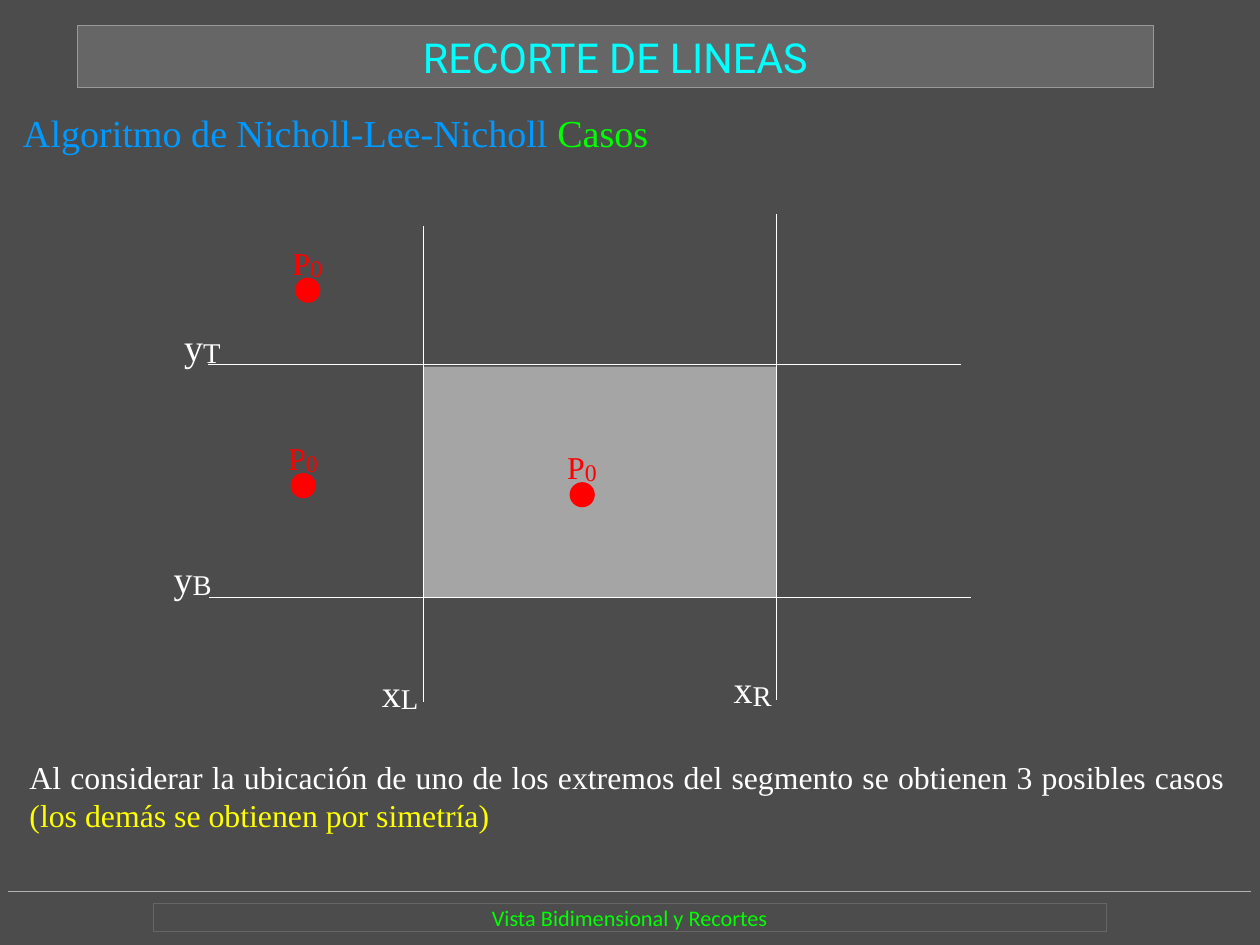
from dataclasses import dataclass

from lxml import etree
from pptx import Presentation
from pptx import util as u
from pptx.dml import color
from pptx.enum import shapes, text
from pptx.oxml import ns


@dataclass(frozen=True)
class Theme:
    background: str = "4C4C4C"
    panel: str = "666666"
    panel_edge: str = "999999"
    rule: str = "B3B3B3"
    white: str = "FFFFFF"
    red: str = "FF0000"
    green: str = "00FF00"
    blue: str = "0099FF"
    cyan: str = "00FFFF"
    yellow: str = "FFFF00"
    serif: str = "Times New Roman"
    title_font: str = "Roboto"
    footer_font: str = "Calibri"
    title_size: float = 26
    heading_size: float = 24
    heading_subscript: float = 31
    body_size: float = 20
    body_subscript: float = 25.9
    footer_size: float = 14


@dataclass(frozen=True)
class Box:
    left: float
    top: float
    width: float
    height: float


@dataclass(frozen=True)
class Line:
    x1: float
    y1: float
    x2: float
    y2: float
    tint: str


@dataclass(frozen=True)
class Words:
    content: str
    size: float
    tint: str
    font: str
    baseline: int = 0


@dataclass(frozen=True)
class Label:
    left: float
    top: float
    axis: str
    side: str


@dataclass(frozen=True)
class Point:
    left: float
    top: float


THEME = Theme()
HAIRLINE = u.Emu(1)
SUBSCRIPT = -5000
LEFT_EDGE, RIGHT_EDGE = 33.64, 61.61
TOP_EDGE, BOTTOM_EDGE = 38.57, 63.2

WINDOW = Box(LEFT_EDGE, 38.81, RIGHT_EDGE - LEFT_EDGE, 24.43)
LINES = [
    Line(0.7, 94.32, 99.27, 94.32, THEME.rule),
    Line(LEFT_EDGE, 24.0, LEFT_EDGE, 74.2, THEME.white),
    Line(RIGHT_EDGE, 22.7, RIGHT_EDGE, 74, THEME.white),
    Line(16.57, TOP_EDGE, 76.2, TOP_EDGE, THEME.white),
    Line(16.6, BOTTOM_EDGE, 77.04, BOTTOM_EDGE, THEME.white),
]
POINTS = [Point(22.87, 45.47), Point(45.01, 46.43), Point(23.23, 24.79)]
LABELS = [
    Label(30.31, 69.65, "x", "L"),
    Label(58.22, 69.29, "x", "R"),
    Label(14.61, 33.01, "y", "T"),
    Label(13.79, 57.56, "y", "B"),
]

presentation = Presentation()
presentation.slide_width = u.Cm(28)
presentation.slide_height = u.Cm(21)
slide = presentation.slides.add_slide(presentation.slide_layouts[5])


def across(percent: float) -> int:
    return round(presentation.slide_width * percent / 100)


def down(percent: float) -> int:
    return round(presentation.slide_height * percent / 100)


def bounds(box: Box) -> tuple[int, int, int, int]:
    return across(box.left), down(box.top), across(box.width), down(box.height)


def rgb(tint: str) -> color.RGBColor:
    return color.RGBColor.from_string(tint)


def write(shape, words: list[Words], align=text.PP_ALIGN.LEFT,
          anchor=text.MSO_ANCHOR.TOP) -> None:
    frame = shape.text_frame
    frame.margin_left = frame.margin_right = frame.margin_top = frame.margin_bottom = 0
    frame.word_wrap = True
    frame.auto_size = text.MSO_AUTO_SIZE.NONE
    frame.vertical_anchor = anchor
    paragraph = frame.paragraphs[0]
    paragraph.alignment = align
    for piece in words:
        run = paragraph.add_run()
        run.text = piece.content
        run.font.size = u.Pt(piece.size)
        run.font.name = piece.font
        run.font.color.rgb = rgb(piece.tint)
        if piece.baseline:
            run._r.get_or_add_rPr().set("baseline", str(piece.baseline))


def outline(shape, tint: str) -> None:
    shape.line.color.rgb = rgb(tint)
    shape.line.width = HAIRLINE


def add_text(box: Box, words: list[Words], align=text.PP_ALIGN.LEFT) -> None:
    write(slide.shapes.add_textbox(*bounds(box)), words, align)


def add_line(line: Line) -> None:
    connector = slide.shapes.add_connector(
        shapes.MSO_CONNECTOR.STRAIGHT,
        across(line.x1), down(line.y1), across(line.x2), down(line.y2))
    outline(connector, line.tint)
    etree.SubElement(connector._element.spPr, ns.qn("a:effectLst"))


def add_solid(kind: shapes.MSO_SHAPE, box: Box, tint: str):
    shape = slide.shapes.add_shape(kind, *bounds(box))
    shape.shadow.inherit = False
    shape.fill.solid()
    shape.fill.fore_color.rgb = rgb(tint)
    shape.line.fill.background()
    return shape


def add_point(point: Point) -> None:
    add_text(Box(point.left, point.top, 2.63, 4.59), [
        Words("P", THEME.body_size, THEME.red, THEME.serif),
        Words("0", THEME.body_subscript, THEME.red, THEME.serif, SUBSCRIPT)])
    add_solid(shapes.MSO_SHAPE.OVAL,
              Box(point.left + 0.2, point.top + 4.59, 2, 2.66), THEME.red)


def add_label(label: Label) -> None:
    add_text(Box(label.left, label.top, 3.27, 5.56), [
        Words(label.axis, THEME.heading_size, THEME.white, THEME.serif),
        Words(label.side, THEME.heading_subscript, THEME.white, THEME.serif, SUBSCRIPT)],
        text.PP_ALIGN.JUSTIFY)


def main() -> None:
    slide.background.fill.solid()
    slide.background.fill.fore_color.rgb = rgb(THEME.background)

    title = slide.shapes.title
    title.left, title.top, title.width, title.height = bounds(Box(6.17, 2.66, 85.39, 6.65))
    title.fill.solid()
    title.fill.fore_color.rgb = rgb(THEME.panel)
    outline(title, THEME.panel_edge)
    write(title, [Words("RECORTE DE LINEAS", THEME.title_size, THEME.cyan, THEME.title_font)],
          text.PP_ALIGN.CENTER, text.MSO_ANCHOR.MIDDLE)

    footer = add_solid(shapes.MSO_SHAPE.RECTANGLE, Box(12.16, 95.65, 75.63, 2.9), THEME.panel)
    footer.fill.background()
    outline(footer, THEME.panel)
    write(footer, [Words("Vista Bidimensional y Recortes", THEME.footer_size,
                         THEME.green, THEME.footer_font)],
          text.PP_ALIGN.CENTER, text.MSO_ANCHOR.MIDDLE)

    add_text(Box(1.83, 11.61, 90.38, 4.84), [
        Words("Algoritmo de Nicholl-Lee-Nicholl", THEME.heading_size, THEME.blue, THEME.serif),
        Words(" Casos", THEME.heading_size, THEME.green, THEME.serif)])

    for line in LINES:
        add_line(line)
    window = add_solid(shapes.MSO_SHAPE.RECTANGLE, WINDOW, THEME.white)
    tint = window._element.spPr.find(f".//{ns.qn('a:srgbClr')}")
    etree.SubElement(tint, ns.qn("a:alpha"), val="50000")
    for point in POINTS:
        add_point(point)

    add_text(Box(2.34, 80.14, 94.9, 10.76), [
        Words("Al considerar la ubicación de uno de los extremos del segmento "
              "se obtienen 3 posibles casos ", THEME.body_size, THEME.white, THEME.serif),
        Words("(los demás se obtienen por simetría)",
              THEME.body_size, THEME.yellow, THEME.serif)],
        text.PP_ALIGN.JUSTIFY)
    for label in LABELS:
        add_label(label)

    presentation.save("out.pptx")


if __name__ == "__main__":
    main()
